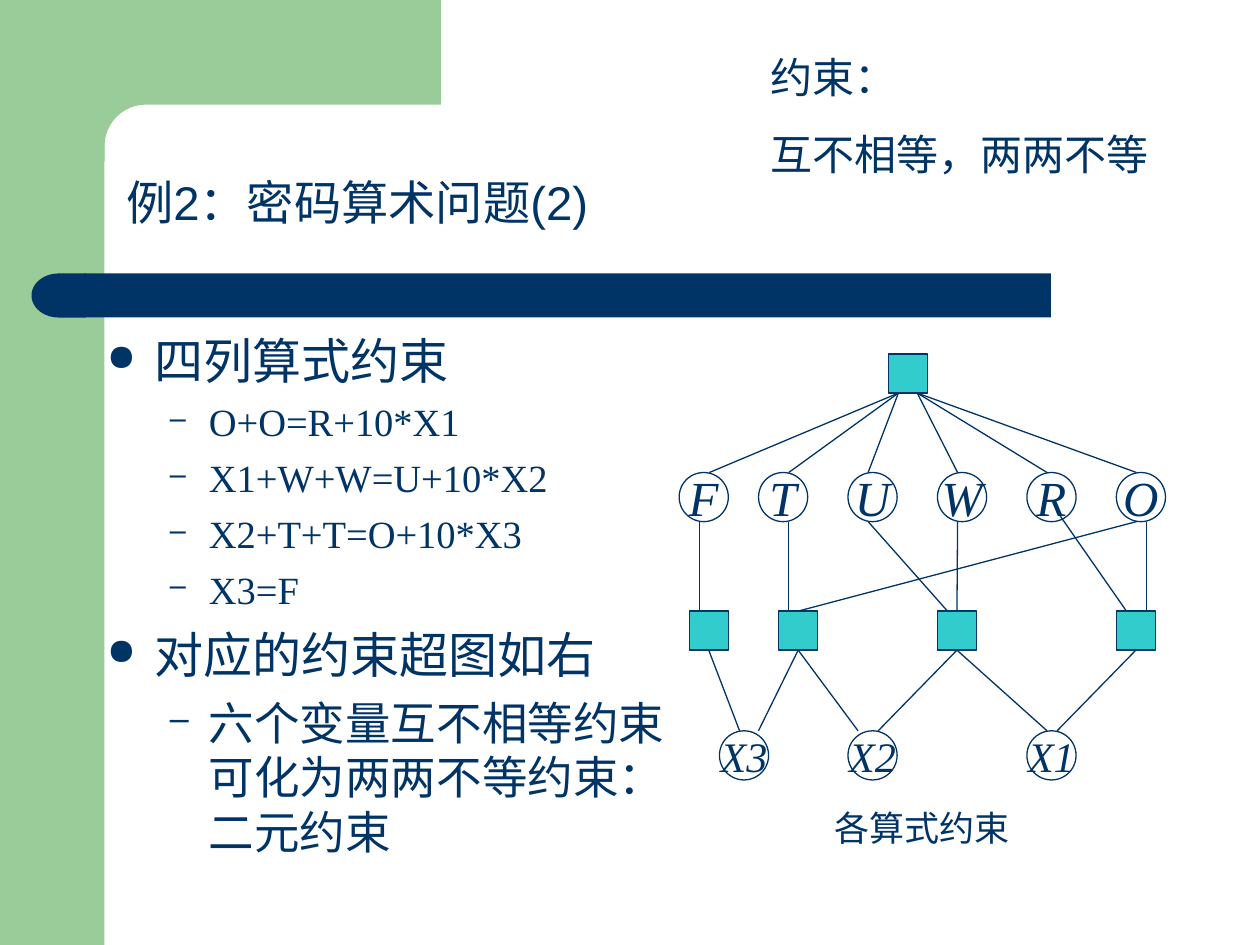
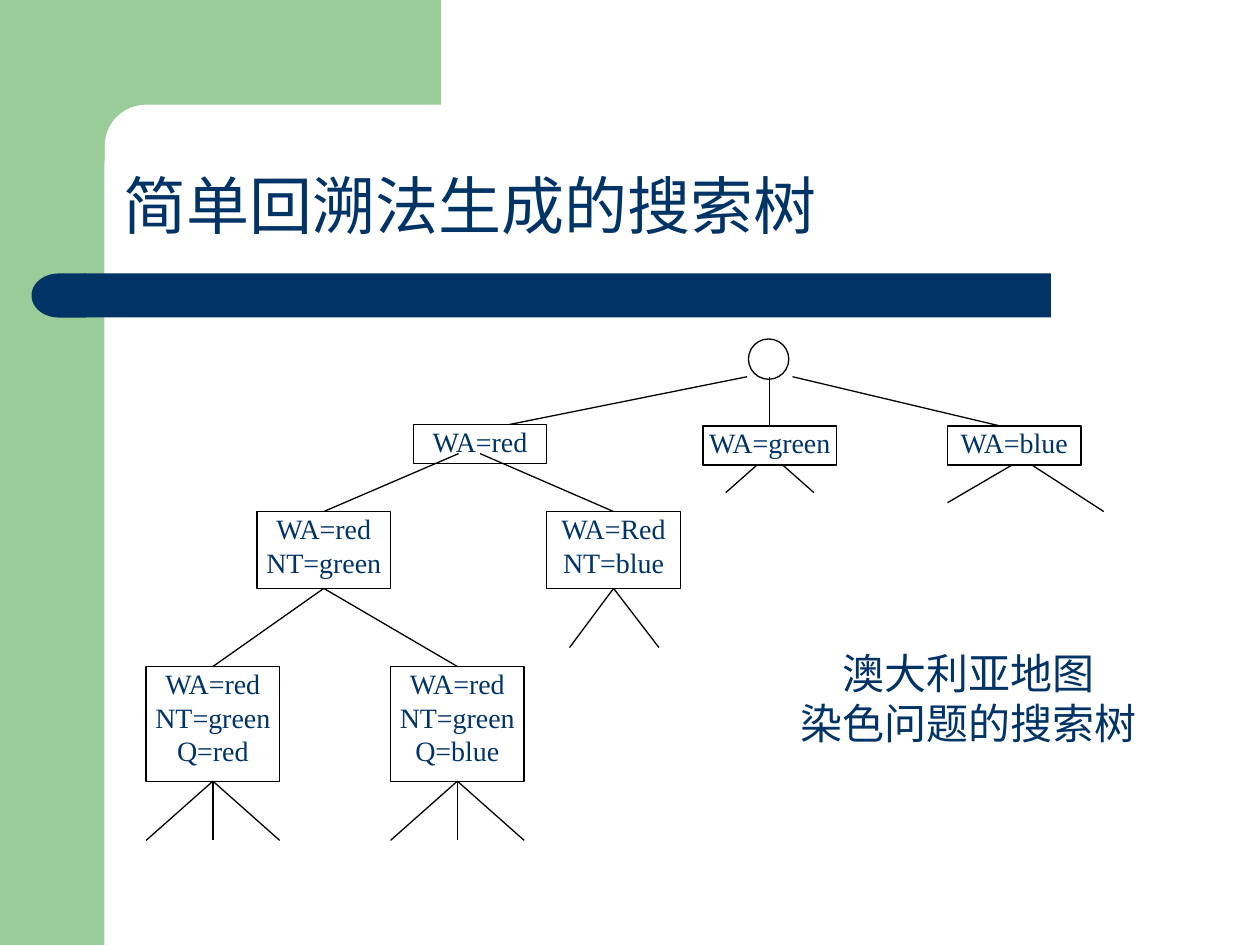
"""Build two slides on constraint graphs and backtracking search trees."""
from math import cos, pi, sin

from lxml.etree import SubElement
from pptx import Presentation
from pptx.dml.color import RGBColor
from pptx.enum.shapes import MSO_CONNECTOR, MSO_SHAPE
from pptx.enum.text import MSO_ANCHOR, MSO_AUTO_SIZE, PP_ALIGN
from pptx.oxml.ns import qn
from pptx.util import Inches, Pt

HUES = {"navy": "003366", "green": "99CC99", "teal": "33CCCC", "white": "FFFFFF", "black": "000000"}
SANS, SERIF = "Arial", "Times New Roman"
HAN, HAN_KR = "Noto Sans CJK SC", "Noto Sans CJK KR"
LEFT, MID = PP_ALIGN.LEFT, PP_ALIGN.CENTER
RECT, OVAL = MSO_SHAPE.RECTANGLE, MSO_SHAPE.OVAL
TOP, BASE = 0, 2


def put(slide, kind, at, text="", size=16, face=SANS, fill=None, edge=None,
        align=MID, anchor=MSO_ANCHOR.TOP, pad=(0.1, 0.05), wrap=True):
    spot = [Inches(n) for n in at]
    if kind == "title":
        shape = slide.shapes.title
        shape.left, shape.top, shape.width, shape.height = spot
    elif kind == "text":
        shape = slide.shapes.add_textbox(*spot)
    else:
        shape = slide.shapes.add_shape(kind, *spot)
        shape.shadow.inherit = False
        shape.fill.background()
        shape.line.fill.background()
    if fill:
        shape.fill.solid()
        shape.fill.fore_color.rgb = RGBColor.from_string(HUES[fill])
    if edge:
        shape.line.color.rgb = RGBColor.from_string(HUES[edge])
        shape.line.width = Pt(0.75)
    if not text:
        return shape
    frame = shape.text_frame
    frame.text = text
    frame.word_wrap = wrap
    frame.auto_size = MSO_AUTO_SIZE.NONE
    frame.vertical_anchor = anchor
    frame.margin_left = frame.margin_right = Inches(pad[0])
    frame.margin_top = frame.margin_bottom = Inches(pad[1])
    for para in frame.paragraphs:
        para.alignment = align
        for run in para.runs:
            run.font.size = Pt(size)
            run.font.color.rgb = RGBColor.from_string(HUES["navy"])
            run.font.name = face
            east = SubElement(run.font._element, qn("a:ea"))
            east.set("typeface", face if face.startswith("Noto") else HAN)
    return shape


def link(slide, start, end, hue):
    ends = [(0, 0) if hasattr(e[0], "text_frame") else e for e in (start, end)]
    line = slide.shapes.add_connector(MSO_CONNECTOR.STRAIGHT, *[Inches(n) for e in ends for n in e])
    if hasattr(start[0], "text_frame"):
        line.begin_connect(*start)
    if hasattr(end[0], "text_frame"):
        line.end_connect(*end)
    line.line.color.rgb = RGBColor.from_string(HUES[hue])
    line.line.width = Pt(0.75)
    SubElement(line._element.spPr, qn("a:effectLst"))


deck = Presentation()
deck.slide_width, deck.slide_height = Inches(10), Inches(7.5)

heads = [
    ("例2：密码算术问题(2)", 27, (0.9, 1.23, 4.65, 0.8), MSO_ANCHOR.MIDDLE),
    ("简单回溯法生成的搜索树", 36, (0.88, 1.28, 8.08, 0.7), MSO_ANCHOR.BOTTOM),
]
turns = [i * pi / 24 for i in range(13)]
curve = [(1.16 - 0.33 * sin(t), 1.16 - 0.33 * cos(t)) for t in turns]
for text, size, at, anchor in heads:
    slide = deck.slides.add_slide(deck.slide_layouts[5])
    put(slide, RECT, (0, 0, 0.83, 7.5), fill="green")
    pen = slide.shapes.build_freeform(Inches(0.5), 0, scale=1.0)
    rim = [(3.5, 0), (3.5, 0.83)] + curve + [(0.83, 1.28), (0.5, 1.28)]
    pen.add_line_segments([(Inches(x), Inches(y)) for x, y in rim])
    block = pen.convert_to_shape()
    block.shadow.inherit = False
    block.fill.solid()
    block.fill.fore_color.rgb = RGBColor.from_string(HUES["green"])
    block.line.fill.background()
    put(slide, RECT, (0.67, 2.17, 7.67, 0.35), fill="navy")
    put(slide, MSO_SHAPE.FLOWCHART_DELAY, (0.25, 2.17, 0.43, 0.35), fill="navy").rotation = 180
    title = put(slide, "title", at, text, size, align=LEFT, anchor=anchor)
    title.text_frame.paragraphs[0].line_spacing = 0.9

graph, tree = deck.slides

put(graph, "text", (6.02, 6.35, 2.6, 0.44), "各算式约束", 20, HAN)
rules = put(graph, "text", (6.02, 0.36, 3.54, 1.11), "约束：\n互不相等，两两不等", 24, HAN_KR, align=LEFT)
for para in rules.text_frame.paragraphs:
    para.space_before = Pt(15)

points = [
    ("四列算式约束", 0, 28, SANS, 7),
    ("O+O=R+10*X1", 1, 22, SERIF, 5.5),
    ("X1+W+W=U+10*X2", 1, 22, SERIF, 5.5),
    ("X2+T+T=O+10*X3", 1, 22, SERIF, 5.5),
    ("X3=F", 1, 22, SERIF, 5.5),
    ("对应的约束超图如右", 0, 28, SANS, 7),
    ("六个变量互不相等约束可化为两两不等约束：二元约束", 1, 26, SANS, 6.5),
]
body = put(graph, "text", (0.75, 2.57, 4.88, 4.41), "\n".join(p[0] for p in points), align=LEFT)
for para, (_, level, size, face, gap) in zip(body.text_frame.paragraphs, points):
    para.level = level
    para.space_before = Pt(gap)
    para.runs[0].font.size = Pt(size)
    para.runs[0].font.name = face
    props = para._p.get_or_add_pPr()
    props.set("marL", str(Inches((0.38, 0.81)[level])))
    props.set("indent", str(-Inches((0.38, 0.31)[level])))
    SubElement(SubElement(props, qn("a:buClr")), qn("a:srgbClr")).set("val", HUES["navy"])
    SubElement(props, qn("a:buSzPct")).set("val", "75000")
    SubElement(props, qn("a:buChar")).set("char", "●–"[level])

nodes = [("F", 5.39, 3.75, 28)]
nodes += [(name, 6.02 + 0.71 * i, 3.75, 28) for i, name in enumerate("TUWRO")]
nodes += [("X3", 5.71, 5.8, 24), ("X2", 6.73, 5.8, 24), ("X1", 8.15, 5.8, 24)]
for name, x, y, size in nodes:
    node = put(graph, OVAL, (x, y, 0.39, 0.39), name, size, SERIF, edge="navy",
               anchor=MSO_ANCHOR.MIDDLE, wrap=False)
    node.text_frame.paragraphs[0].runs[0].font.italic = True

put(graph, RECT, (7.05, 2.81, 0.31, 0.31), fill="teal", edge="navy")
sums = [put(graph, RECT, (x, 4.85, 0.31, 0.31), fill="teal", edge="navy")
        for x in (5.47, 6.18, 7.44, 8.86)]
for i, x in enumerate((5.63, 6.26, 6.89, 7.6, 8.31, 9.02)):
    link(graph, (x, 3.75), (7.13 if i < 3 else 7.28, 3.12), "navy")
wires = [
    ((5.55, 4.14), (5.55, 4.85)),
    ((6.26, 4.14), (6.26, 4.85)),
    ((9.1, 4.14), (9.1, 4.85)),
    ((6.89, 4.14), (7.52, 4.85)),
    ((8.39, 4.06), (8.94, 4.85)),
    ((7.6, 4.14), (sums[2], TOP)),
    ((9.02, 4.14), (sums[1], TOP)),
]
drops = [(0, 5.87), (1, 6.02), (1, 6.81), (2, 6.97), (2, 8.31), (3, 8.39)]
wires += [((sums[i], BASE), (x, 5.8)) for i, x in drops]
for start, end in wires:
    link(graph, start, end, "navy")

put(tree, OVAL, (5.94, 2.69, 0.32, 0.32), fill="white", edge="black")
stems = [
    ((5.93, 2.99), (3.64, 3.45)),
    ((6.11, 2.99), (6.11, 3.45)),
    ((6.29, 2.99), (8.23, 3.45)),
    ((6.11, 3.6), (5.76, 3.91)),
    ((6.11, 3.6), (6.46, 3.91)),
    ((8.05, 3.68), (7.52, 3.99)),
    ((8.05, 3.6), (8.76, 4.06)),
]
for start, end in stems:
    link(tree, start, end, "black")

states = [
    ("WA=red", 3.28, 3.37),
    ("WA=green", 5.58, 3.38),
    ("WA=blue", 7.52, 3.38),
    ("WA=red\nNT=green", 2.04, 4.06),
    ("WA=Red\nNT=blue", 4.34, 4.06),
    ("WA=red\nNT=green\nQ=red", 1.16, 5.29),
    ("WA=red\nNT=green\nQ=blue", 3.1, 5.29),
]
cells = [put(tree, RECT, (x, y, 1.06, 0.31 * len(text.split("\n")) - 0.01 * text.count("\n")),
             text, 16, SERIF, "white", "black", pad=(0, 0)) for text, x, y in states]
near, far, low, last = cells[3:]
twigs = [
    ((3.64, 3.6), (near, TOP)),
    ((3.81, 3.6), (far, TOP)),
    ((near, BASE), (low, TOP)),
    ((near, BASE), (last, TOP)),
    ((far, BASE), (4.52, 5.14)),
    ((far, BASE), (5.23, 5.14)),
]
for cell, x in ((low, 1.69), (last, 3.63)):
    twigs += [((cell, BASE), (x + shift, 6.67)) for shift in (-0.53, 0, 0.53)]
for start, end in twigs:
    link(tree, start, end, "black")

put(tree, "text", (6.26, 5.09, 2.86, 0.9), "澳大利亚地图\n染色问题的搜索树", 24, wrap=False)

deck.save("out.pptx")
